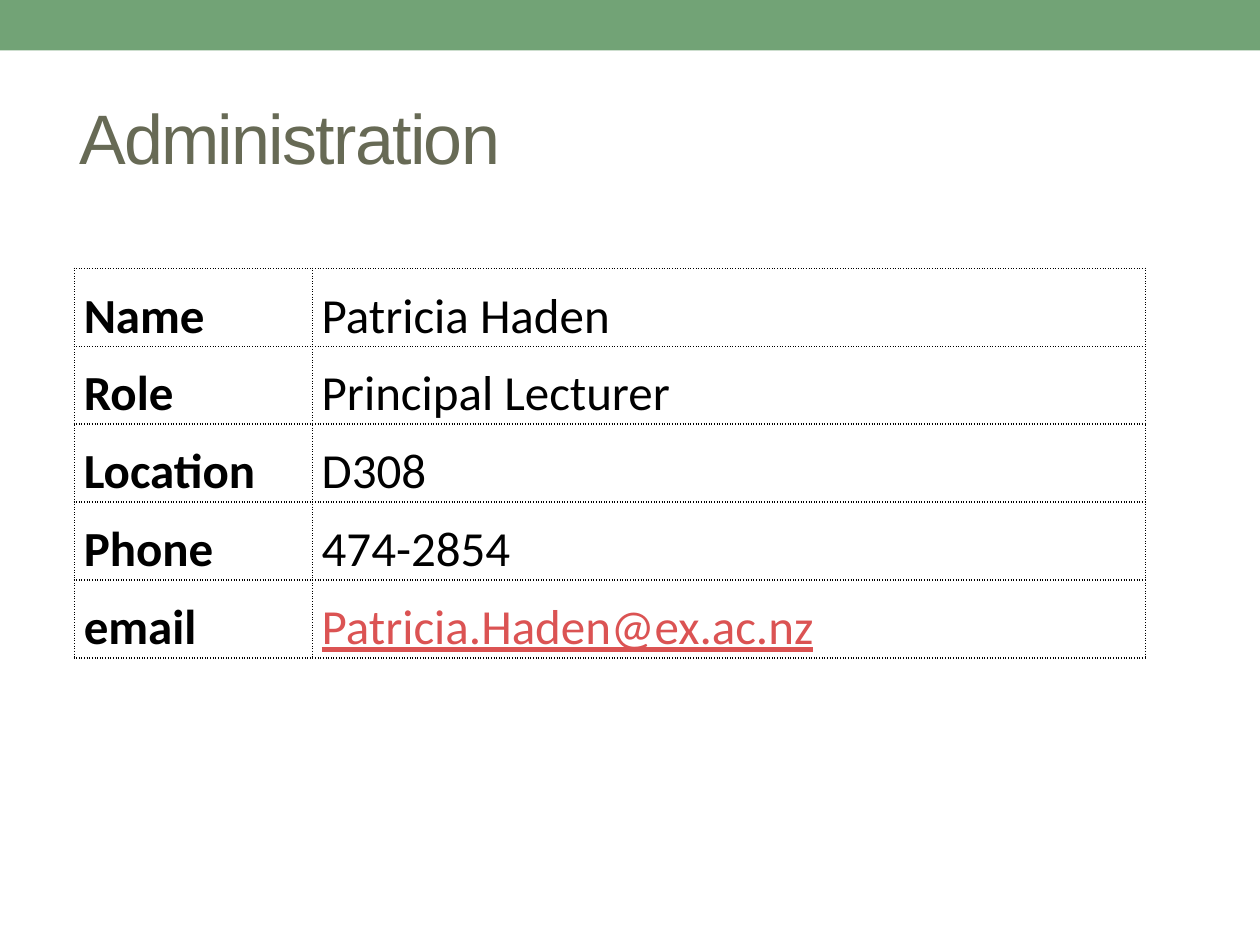
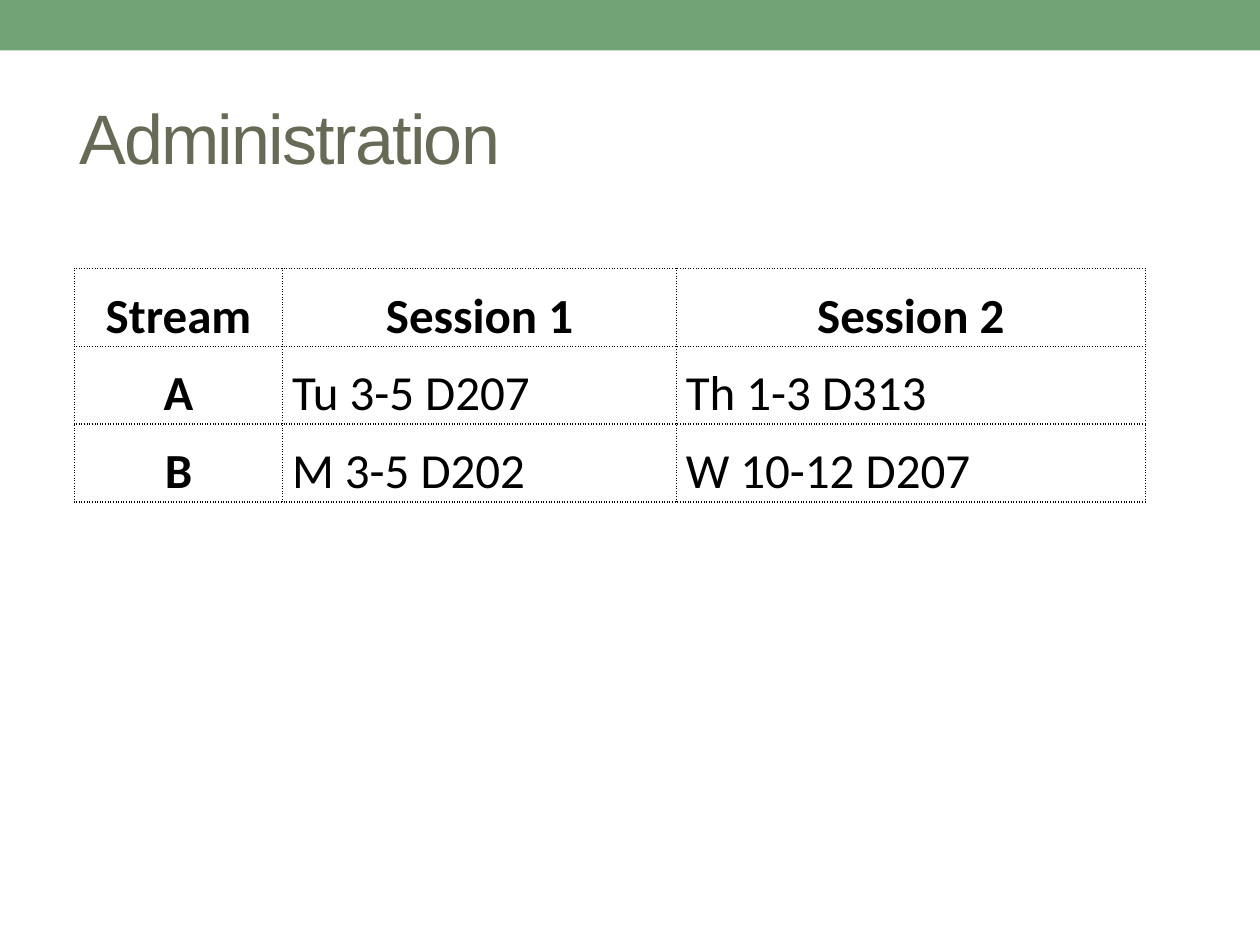
from dataclasses import dataclass

from lxml import etree
from pptx import Presentation
from pptx import util as u
from pptx.dml.color import RGBColor
from pptx.enum import shapes, text
from pptx.oxml.ns import qn


@dataclass(frozen=True)
class Theme:
    band: str = "72A376"
    title: str = "676A55"
    ink: str = "000000"
    link: str = "DB5353"
    title_font: str = "Arial"
    body_font: str = "Calibri"
    title_size: int = 40
    body_size: int = 28
    line_spacing: float = 1.3


THEME = Theme()
SLIDE_WIDTH, SLIDE_HEIGHT = 720, 540
BAND_HEIGHT = 28.8
TITLE_BOX = (38.2, 38.9, 648, 77.8)
TABLE_LEFT, TABLE_TOP, ROW_HEIGHT = 42.5, 153.4, 43.65
CELL_INSET = 5.4


def write(frame, words, *, size=THEME.body_size, font=THEME.body_font,
          color=THEME.ink, bold=False, underline=False, tracking=None,
          align=text.PP_ALIGN.LEFT, line_spacing=None):
    """Put one formatted paragraph into a text frame."""
    paragraph = frame.paragraphs[0]
    paragraph.alignment = align
    if line_spacing:
        paragraph.line_spacing = line_spacing
    run = paragraph.add_run()
    run.text = words
    run.font.size = u.Pt(size)
    run.font.name = font
    run.font.bold = bold
    run.font.underline = underline
    run.font.color.rgb = RGBColor.from_string(color)
    if tracking is not None:
        run.font._element.set("spc", str(tracking * 100))


def add_band(slide):
    band = slide.shapes.add_shape(shapes.MSO_SHAPE.RECTANGLE, 0, 0,
                                  u.Pt(SLIDE_WIDTH), u.Pt(BAND_HEIGHT))
    band.shadow.inherit = False
    band.fill.solid()
    band.fill.fore_color.rgb = RGBColor.from_string(THEME.band)
    band.line.fill.background()


def set_title(slide, words):
    title = slide.shapes.title
    title.left, title.top, title.width, title.height = map(u.Pt, TITLE_BOX)
    frame = title.text_frame
    frame.auto_size = text.MSO_AUTO_SIZE.NONE
    frame.vertical_anchor = text.MSO_ANCHOR.MIDDLE
    write(frame, words, size=THEME.title_size, font=THEME.title_font,
          color=THEME.title, tracking=-1)


def add_titled_slide(presentation, title):
    slide = presentation.slides.add_slide(presentation.slide_layouts[5])
    add_band(slide)
    set_title(slide, title)
    return slide


def dot_borders(cell):
    """Draw a dotted line on all four sides of a cell."""
    properties = cell._tc.get_or_add_tcPr()
    for side in ("lnL", "lnR", "lnT", "lnB"):
        line = etree.SubElement(properties, qn(f"a:{side}"), w=str(u.Pt(1)))
        fill = etree.SubElement(line, qn("a:solidFill"))
        etree.SubElement(fill, qn("a:srgbClr"), val=THEME.ink)
        etree.SubElement(line, qn("a:prstDash"), val="sysDot")


def add_grid(slide, rows, widths, header_row=False,
             header_align=text.PP_ALIGN.LEFT):
    """Add a dotted table whose first column, and maybe row, holds headers."""
    frame = slide.shapes.add_table(
        len(rows), len(widths), u.Pt(TABLE_LEFT), u.Pt(TABLE_TOP),
        u.Pt(sum(widths)), u.Pt(ROW_HEIGHT * len(rows)))
    table = frame.table
    table.first_row = table.horz_banding = False
    for column, width in zip(table.columns, widths):
        column.width = u.Pt(width)
    for row_index, row in enumerate(rows):
        for column_index, words in enumerate(row):
            cell = table.cell(row_index, column_index)
            cell.margin_left = cell.margin_right = u.Pt(CELL_INSET)
            cell.margin_top = cell.margin_bottom = 0
            cell.vertical_anchor = text.MSO_ANCHOR.MIDDLE
            dot_borders(cell)
            cell.fill.background()
            is_header = column_index == 0 or (header_row and row_index == 0)
            is_address = "@" in words
            write(cell.text_frame, words, bold=is_header,
                  underline=is_address,
                  color=THEME.link if is_address else THEME.ink,
                  align=header_align if is_header else text.PP_ALIGN.LEFT,
                  line_spacing=THEME.line_spacing)


def main():
    presentation = Presentation()
    presentation.slide_width = u.Pt(SLIDE_WIDTH)
    presentation.slide_height = u.Pt(SLIDE_HEIGHT)

    # Lecturer contact details
    contact = add_titled_slide(presentation, "Administration")
    add_grid(contact, [
        ("Name", "Patricia Haden"),
        ("Role", "Principal Lecturer"),
        ("Location", "D308"),
        ("Phone", "474-2854"),
        ("email", "Patricia.Haden@ex.ac.nz"),
    ], widths=(136, 476))

    # Class times for each stream
    timetable = add_titled_slide(presentation, "Administration")
    add_grid(timetable, [
        ("Stream", "Session 1", "Session 2"),
        ("A", "Tu 3-5 D207", "Th 1-3 D313"),
        ("B", "M 3-5 D202", "W 10-12 D207"),
    ], widths=(119, 225, 268), header_row=True,
        header_align=text.PP_ALIGN.CENTER)

    presentation.save("out.pptx")


if __name__ == "__main__":
    main()
